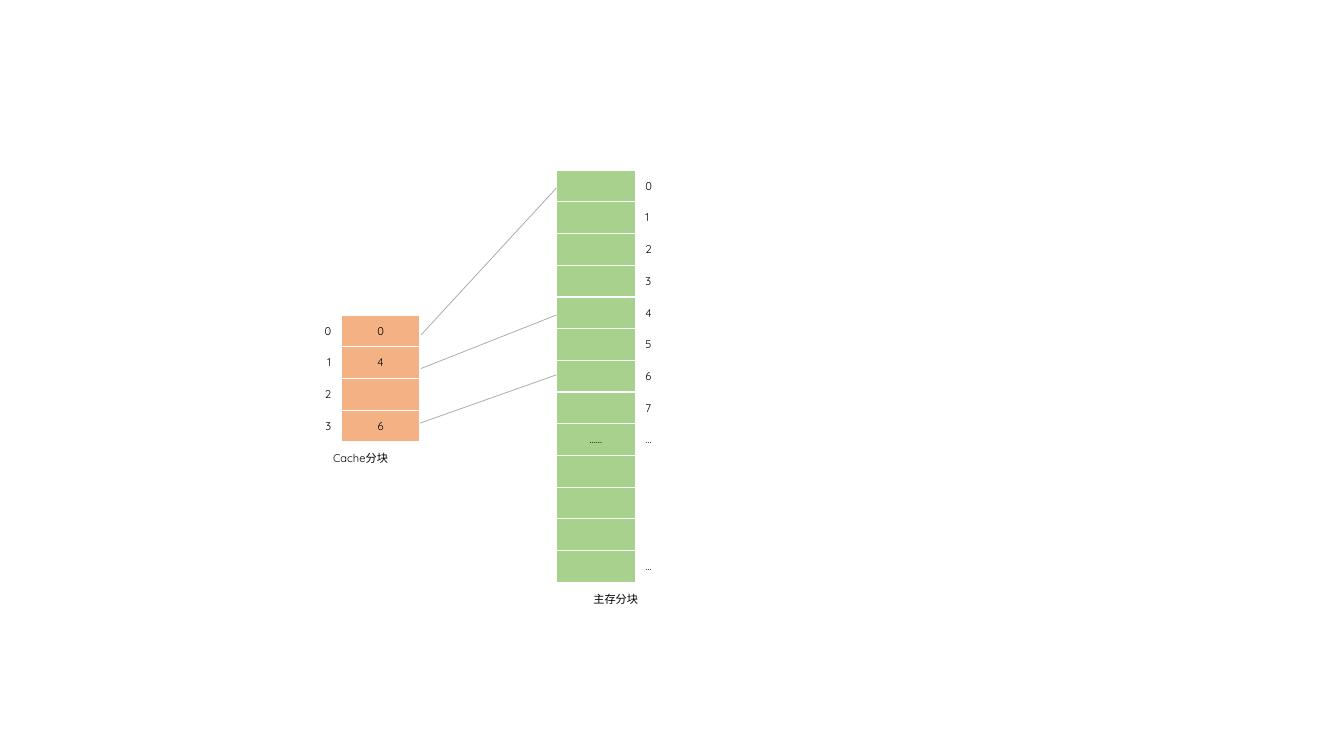
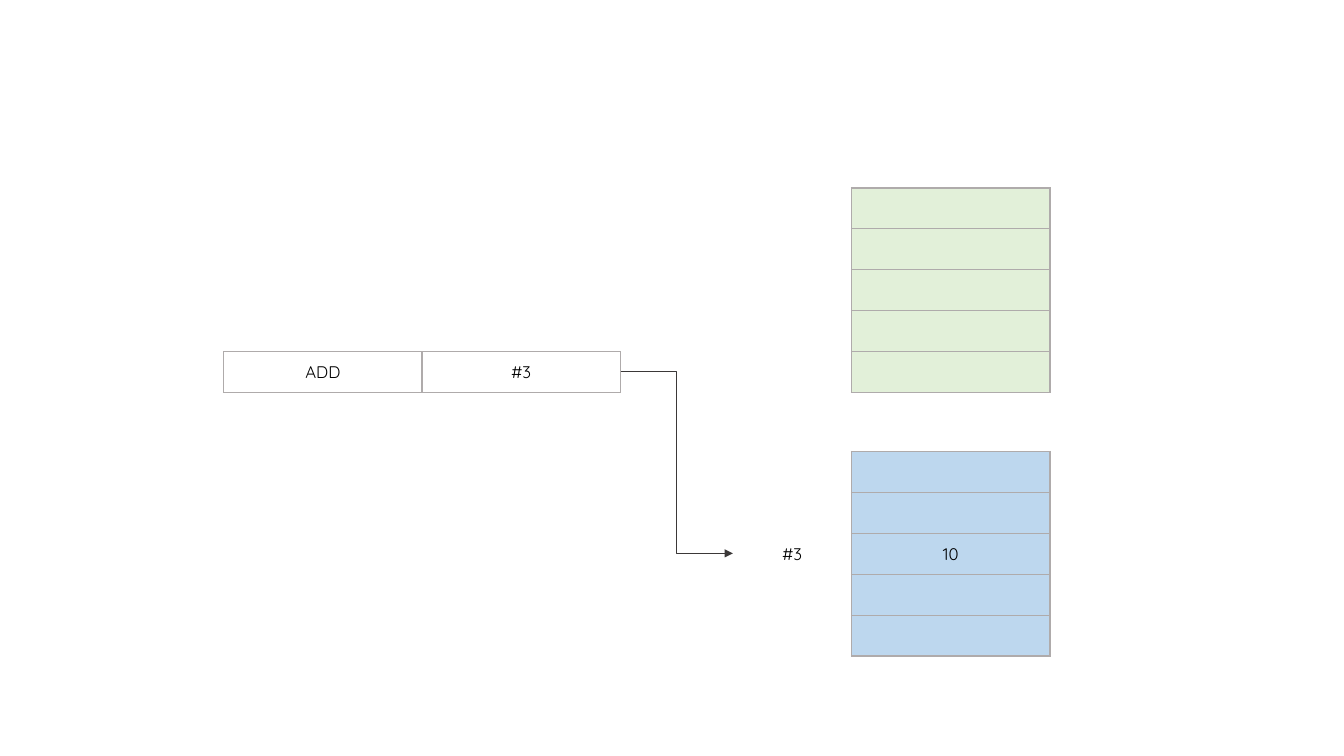
from lxml import etree
from pptx import Presentation
from pptx.dml.color import RGBColor
from pptx.enum.shapes import MSO_CONNECTOR
from pptx.enum.text import MSO_ANCHOR, PP_ALIGN
from pptx.oxml.ns import qn
from pptx.util import Pt

PX = 9525
FONT = "Quicksand"
LEFT, CENTER, RIGHT = PP_ALIGN.LEFT, PP_ALIGN.CENTER, PP_ALIGN.RIGHT
MIDDLE = MSO_ANCHOR.MIDDLE
STRAIGHT, ELBOW = MSO_CONNECTOR.STRAIGHT, MSO_CONNECTOR.ELBOW
COLORS = {
    "text": "000000",
    "white": "FFFFFF",
    "cache": "F4B183",
    "memory": "A9D18E",
    "link": "A5A5A5",
    "grid": "AFABAB",
    "upper": "E2F0D9",
    "lower": "BDD7EE",
    "arrow": "3B3838",
}


def rgb(name):
    """Return the named colour."""
    return RGBColor.from_string(COLORS[name])


def add_border(cell, side, color):
    """Draw a one-point border on one side of a cell."""
    line = etree.SubElement(cell._tc.get_or_add_tcPr(), qn(f"a:ln{side}"), w=str(Pt(1)))
    fill = etree.SubElement(line, qn("a:solidFill"))
    etree.SubElement(fill, qn("a:srgbClr"), val=COLORS[color])


def fill_cell(cell, text, size, align, fill, border):
    """Style one cell and write its text."""
    for side in "LRTB" if fill else "R":
        add_border(cell, side, border)
    if fill:
        cell.fill.solid()
        cell.fill.fore_color.rgb = rgb(fill)
    else:
        cell.fill.background()
    cell.vertical_anchor = MIDDLE
    para = cell.text_frame.paragraphs[0]
    para.alignment = align
    if text:
        span = para.add_run()
        span.text = text
        span.font.name = FONT
        span.font.size = Pt(size)
        span.font.color.rgb = rgb("text")
    else:
        etree.SubElement(para._p, qn("a:endParaRPr"), sz=str(size * 100))


def add_grid(page, box, columns, rows, size, border, caption=None):
    """Place a table whose columns are (width, fill, alignment), with an optional caption row."""
    left, top, height = box
    count = len(rows) + (caption is not None)
    width = sum(column[0] for column in columns)
    table = page.shapes.add_table(
        count, len(columns), left * PX, top * PX, width * PX, height * PX).table
    table.first_row = False
    table.horz_banding = False
    for row in table.rows:
        row.height = height * PX // count
    for index, (column_width, fill, align) in enumerate(columns):
        table.columns[index].width = column_width * PX
        for number, texts in enumerate(rows):
            fill_cell(table.cell(number, index), texts[index], size, align, fill, border)
    if caption:
        cell = table.cell(count - 1, 0)
        cell.merge(table.cell(count - 1, len(columns) - 1))
        fill_cell(cell, caption, size, CENTER, None, border)


def add_link(page, kind, start, end, color, arrow=False):
    """Draw a thin connector between two points."""
    link = page.shapes.add_connector(kind, *(value * PX for value in start + end))
    link.line.width = Pt(0.5)
    link.line.color.rgb = rgb(color)
    if arrow:
        etree.SubElement(link.line._get_or_add_ln(), qn("a:tailEnd"), type="triangle")
    etree.SubElement(link._element.spPr, qn("a:effectLst"))


def build_cache_mapping(page):
    """Show which main memory blocks the cache blocks hold."""
    cache = [("0", "0"), ("1", "4"), ("2", ""), ("3", "6")]
    labels = [str(number) for number in range(8)] + ["…", "", "", "", "…"]
    memory = [("……" if row == 8 else "", label) for row, label in enumerate(labels)]
    add_grid(page, (287, 300, 151), [(38, None, RIGHT), (75, "cache", CENTER)],
             cache, 8, "white", "Cache分块")
    add_grid(page, (530, 162, 423), [(75, "memory", CENTER), (38, None, LEFT)],
             memory, 8, "white", "主存分块")
    for start, end in (((530, 179), (401, 319)),
                       ((530, 300), (401, 351)),
                       ((530, 357), (400, 403))):
        add_link(page, STRAIGHT, start, end, "link")


def build_addressing(page):
    """Show an instruction pointing at the cell that holds its operand."""
    empty = ("", "")
    add_grid(page, (213, 335, 39), [(189, "white", CENTER)] * 2,
             [("ADD", "#3")], 12, "grid")
    for top, fill, middle in ((179, "upper", empty), (430, "lower", ("#3", "10"))):
        add_grid(page, (698, top, 195), [(113, None, CENTER), (189, fill, CENTER)],
                 [empty, empty, middle, empty, empty], 12, "grid")
    add_link(page, ELBOW, (591, 354), (698, 527), "arrow", arrow=True)


def main():
    """Build and save the deck."""
    deck = Presentation()
    deck.slide_width, deck.slide_height = 1280 * PX, 720 * PX
    for build in (build_cache_mapping, build_addressing):
        build(deck.slides.add_slide(deck.slide_layouts[6]))
    deck.save("out.pptx")


if __name__ == "__main__":
    main()
